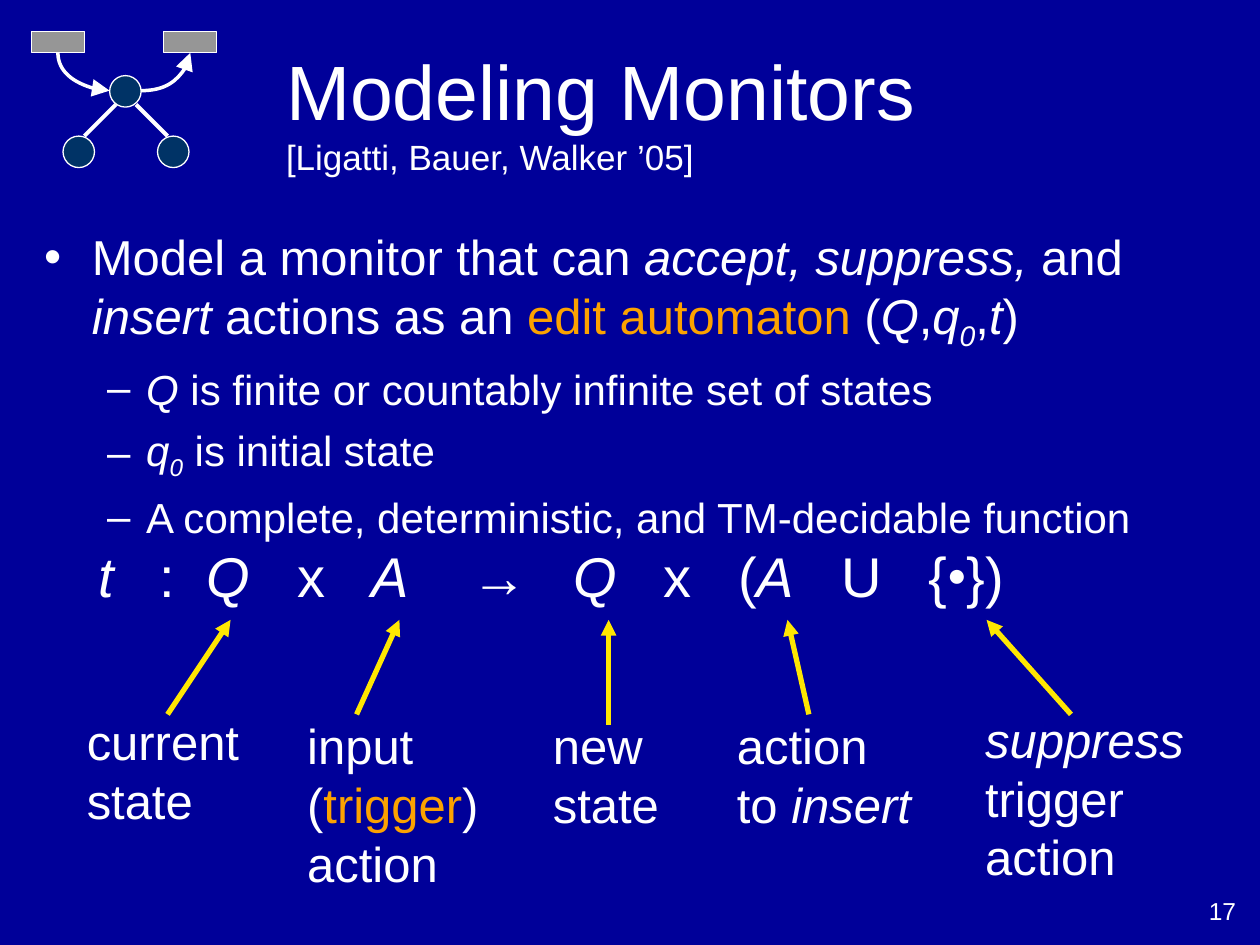
from lxml import etree
from pptx import Presentation
from pptx.dml.color import RGBColor
from pptx.enum.shapes import MSO_CONNECTOR, MSO_SHAPE
from pptx.enum.text import MSO_ANCHOR, MSO_AUTO_SIZE, PP_ALIGN
from pptx.oxml.ns import qn
from pptx.util import Inches, Pt

STRAIGHT, CURVE = MSO_CONNECTOR.STRAIGHT, MSO_CONNECTOR.CURVE
OVAL, RECTANGLE = MSO_SHAPE.OVAL, MSO_SHAPE.RECTANGLE
FIXED, GROW = MSO_AUTO_SIZE.NONE, MSO_AUTO_SIZE.SHAPE_TO_FIT_TEXT
MIDDLE = MSO_ANCHOR.MIDDLE
LEFT, RIGHT = PP_ALIGN.LEFT, PP_ALIGN.RIGHT

NAVY = RGBColor(0x00, 0x00, 0x99)
TEAL = RGBColor(0x00, 0x33, 0x66)
GRAY = RGBColor(0x96, 0x96, 0x96)
WHITE = RGBColor(0xFF, 0xFF, 0xFF)
ORANGE = RGBColor(0xFC, 0xA2, 0x00)
YELLOW = RGBColor(0xFF, 0xE7, 0x01)

FONT = "Arial"
RECT_BOTTOM, OVAL_LEFT, OVAL_RIGHT = 2, 2, 6  # connection sites

# A run is plain text or (text, style): i italic, o orange, - subscript, + raised
BODY = [
    (0, ["Model a monitor that can ", ("accept, suppress, ", "i"), "and",
         (" insert", "i"), " actions as an ", ("edit automaton", "o"), " (",
         ("Q", "i"), ",", ("q", "i"), ("0", "i-"), ",", ("t", "i"), ")"]),
    (1, [("Q", "i"), " is finite or countably infinite set of states"]),
    (1, [("q", "i"), ("0", "i-"), " is initial state"]),
    (1, ["A complete, deterministic, and TM-decidable function"]),
]
# Per level: size, space before, left margin, hanging indent, bullet
LEVELS = [(28, 7, 0.38, 0.38, "•"), (24, 6, 0.81, 0.31, "–")]

FORMULA = [("t", "i"), "\t:\t", ("Q", "i"), "\tx\t", ("A", "i"), "\t→\t",
           ("Q", "i"), "\tx\t(", ("A", "i"), "\tU\t{", ("●", "+"), "})"]
FORMULA_TABS = [0.49, 0.86, 1.58, 2.17, 2.96, 3.77, 4.49, 5.08, 5.9, 6.59]

# Label box, its lines, arrow tip x, arrow foot
LABELS = [
    ((0.59, 5.6, 1.41, 1.04), [["current"], ["state"]], 1.83, (1.33, 5.67)),
    ((2.34, 5.63, 1.56, 1.5), [["input"], ["(", ("trigger", "o"), ")"], ["action"]],
     3.17, (2.83, 5.67)),
    ((4.29, 5.63, 1.04, 1.04), [["new"], ["state"]], 4.83, (4.83, 5.75)),
    ((5.75, 5.63, 1.58, 1.04), [["action"], ["to ", ("insert", "i")]],
     6.25, (6.42, 5.67)),
    ((7.72, 5.58, 1.78, 1.5), [[("suppress", "i")], ["trigger"], ["action"]],
     7.83, (8.5, 5.67)),
]
ARROW_TIP_Y = 4.92


def place(shape, box):
    shape.left, shape.top, shape.width, shape.height = map(Inches, box)


def set_font(paragraph, size):
    paragraph.font.size = Pt(size)
    paragraph.font.name = FONT
    paragraph.font.color.rgb = WHITE


def add_runs(paragraph, runs):
    for item in runs:
        text, style = (item, "") if isinstance(item, str) else item
        run = paragraph.add_run()
        run.text = text
        if "i" in style:
            run.font.italic = True
        if "o" in style:
            run.font.color.rgb = ORANGE
        for mark, baseline in (("-", "-25000"), ("+", "20000")):
            if mark in style:
                run._r.get_or_add_rPr().set("baseline", baseline)


def add_text(slide, box, lines, size, wrap=False, align=LEFT, tabs=()):
    shape = slide.shapes.add_textbox(*map(Inches, box))
    frame = shape.text_frame
    frame.word_wrap = wrap
    frame.auto_size = FIXED if wrap else GROW
    for index, runs in enumerate(lines):
        paragraph = frame.add_paragraph() if index else frame.paragraphs[0]
        paragraph.alignment = align
        if tabs:
            tab_list = etree.SubElement(paragraph._p.get_or_add_pPr(), qn("a:tabLst"))
            for position in tabs:
                etree.SubElement(tab_list, qn("a:tab"),
                                 pos=str(Inches(position)), algn="l")
        set_font(paragraph, size)
        add_runs(paragraph, runs)


def add_node(slide, kind, box, color):
    shape = slide.shapes.add_shape(kind, *map(Inches, box))
    shape.shadow.inherit = False
    shape.fill.solid()
    shape.fill.fore_color.rgb = color
    shape.line.color.rgb = WHITE
    shape.line.width = Pt(0.75)
    return shape


def add_line(slide, start, end, color, width, kind=STRAIGHT, arrow=None, head="med"):
    line = slide.shapes.add_connector(kind, *map(Inches, start + end))
    line.line.color.rgb = color
    line.line.width = Pt(width)
    if arrow:
        etree.SubElement(line.line._get_or_add_ln(), qn(arrow),
                         type="triangle", w=head, len=head)
    properties = line._element.spPr
    etree.SubElement(properties, qn("a:effectLst"))
    if kind == CURVE:
        properties.find(qn("a:prstGeom")).set("prst", "curvedConnector2")
    return line


def add_automaton(slide):
    for left in (0.5, 1.25):
        add_node(slide, OVAL, (left, 1.08, 0.25, 0.25), TEAL)
    root = add_node(slide, OVAL, (0.87, 0.6, 0.25, 0.25), TEAL)
    source, target = [add_node(slide, RECTANGLE, (left, 0.25, 0.42, 0.17), GRAY)
                      for left in (0.25, 1.3)]
    add_line(slide, (0.67, 1.08), (0.92, 0.83), WHITE, 2.25)
    add_line(slide, (1.08, 0.83), (1.33, 1.08), WHITE, 2.25)
    # Curves leave the root sideways and meet the boxes from below
    for x, site, box, box_x, arrow in (
            (0.87, OVAL_LEFT, source, 0.46, "a:headEnd"),
            (1.12, OVAL_RIGHT, target, 1.51, "a:tailEnd")):
        curve = add_line(slide, (x, 0.72), (box_x, 0.42), WHITE, 2, CURVE, arrow, "lg")
        curve._connect_begin_to(root, site)
        curve.end_connect(box, RECT_BOTTOM)


def fill_title(title):
    place(title, (2.17, 0.25, 7.5, 1.25))
    frame = title.text_frame
    frame.auto_size = FIXED
    frame.vertical_anchor = MIDDLE
    paragraph = frame.paragraphs[0]
    paragraph.alignment = LEFT
    set_font(paragraph, 44)
    add_runs(paragraph, ["Modeling Monitors"])
    paragraph.add_line_break()
    add_runs(paragraph, ["[Ligatti, Bauer, Walker ’05]"])
    paragraph.runs[-1].font.size = Pt(20)


def fill_body(body):
    place(body, (0.25, 1.75, 9.33, 5.5))
    frame = body.text_frame
    frame.auto_size = FIXED
    for index, (level, runs) in enumerate(BODY):
        size, space, margin, hanging, bullet = LEVELS[level]
        paragraph = frame.add_paragraph() if index else frame.paragraphs[0]
        paragraph.level = level
        paragraph.space_before = Pt(space if index else 0)
        properties = paragraph._p.get_or_add_pPr()
        properties.set("marL", str(Inches(margin)))
        properties.set("indent", str(-Inches(hanging)))
        etree.SubElement(properties, qn("a:buChar"), char=bullet)
        set_font(paragraph, size)
        add_runs(paragraph, runs)


def main():
    presentation = Presentation()
    presentation.slide_width, presentation.slide_height = Inches(10), Inches(7.5)
    slide = presentation.slides.add_slide(presentation.slide_layouts[1])
    slide.background.fill.solid()
    slide.background.fill.fore_color.rgb = NAVY

    add_automaton(slide)
    fill_title(slide.shapes.title)
    fill_body(slide.placeholders[1])

    # Transition function with its labels and arrows
    add_text(slide, (0.68, 4.25, 7.61, 0.64), [FORMULA], 32, wrap=True,
             tabs=FORMULA_TABS)
    for box, lines, tip_x, foot in LABELS:
        add_text(slide, box, lines, 28)
        add_line(slide, (tip_x, ARROW_TIP_Y), foot, YELLOW, 3, arrow="a:headEnd")

    # Slide number
    add_text(slide, (7.58, 7.06, 2.33, 0.42), [["17"]], 14, wrap=True, align=RIGHT)
    presentation.save("out.pptx")


if __name__ == "__main__":
    main()
